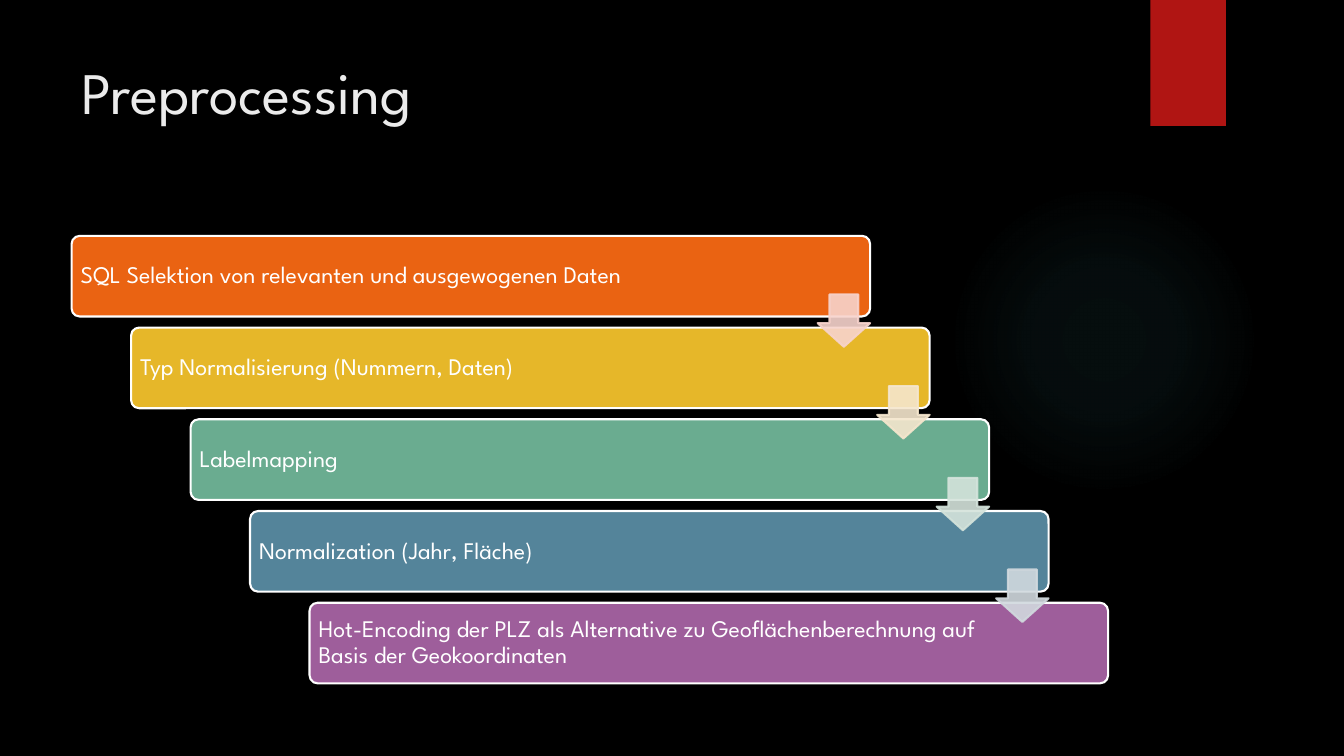
from lxml.etree import SubElement
from pptx import Presentation
from pptx.dml.color import RGBColor
from pptx.enum.shapes import MSO_SHAPE as Preset
from pptx.enum.text import MSO_ANCHOR as Anchor
from pptx.oxml.ns import qn
from pptx.util import Inches, Pt

FONT = "League Spartan"
BLACK = RGBColor(0x00, 0x00, 0x00)
WHITE = RGBColor(0xFF, 0xFF, 0xFF)
TITLE_GREY = RGBColor(0xEB, 0xEB, 0xEB)
RIBBON_RED = RGBColor(0xB0, 0x15, 0x13)
GLOW_TEAL = RGBColor(0x50, 0xB9, 0xC1)
ORANGE = RGBColor(0xEA, 0x63, 0x12)
YELLOW = RGBColor(0xE6, 0xB7, 0x29)
GREEN = RGBColor(0x6A, 0xAC, 0x90)
BLUE = RGBColor(0x54, 0x84, 0x9A)
PURPLE = RGBColor(0x9E, 0x5E, 0x9B)
PALE_ORANGE = RGBColor(0xF7, 0xD3, 0xCC)
PALE_YELLOW = RGBColor(0xF5, 0xE6, 0xCD)
PALE_GREEN = RGBColor(0xD4, 0xE3, 0xDB)
PALE_BLUE = RGBColor(0xD1, 0xD9, 0xDE)

# Staircase grid, in inches: each step moves one column right and one row down
LEFT, TOP = 0.71, 2.34
COLUMN, ROW = 0.59, 0.91
BAR_WIDTH, BAR_HEIGHT = 7.92, 0.8
LABEL_INSET, LABEL_WIDTH = 0.02, 6.76
ARROW_SIZE, ARROW_DROP = 0.52, 0.58

# Label, bar colour, colour of the arrow to the next step
STEPS = [
    ("SQL Selektion von relevanten und ausgewogenen Daten", ORANGE, PALE_ORANGE),
    ("Typ Normalisierung (Nummern, Daten)", YELLOW, PALE_YELLOW),
    ("Labelmapping", GREEN, PALE_GREEN),
    ("Normalization (Jahr, Fläche)", BLUE, PALE_BLUE),
    ("Hot-Encoding der PLZ als Alternative zu Geoflächenberechnung auf "
     "Basis der Geokoordinaten", PURPLE, None),
]


def set_alpha(colour_element, percent):
    SubElement(colour_element, qn("a:alpha"), val=str(percent * 1000))


def add_preset(slide, preset, box, fill, line=None, adjustments=()):
    shape = slide.shapes.add_shape(preset, *map(Inches, box))
    shape.shadow.inherit = False
    shape.fill.solid()
    shape.fill.fore_color.rgb = fill
    if line is None:
        shape.line.fill.background()
    else:
        shape.line.color.rgb = line
        shape.line.width = Pt(1.5)
    for index, value in enumerate(adjustments):
        shape.adjustments[index] = value
    return shape


def add_text(slide, text, box, size, colour, spacing=1.0, **frame_format):
    frame = slide.shapes.add_textbox(*map(Inches, box)).text_frame
    frame.word_wrap = True
    for name, value in frame_format.items():
        setattr(frame, name, value)
    paragraph = frame.paragraphs[0]
    paragraph.line_spacing = spacing
    run = paragraph.add_run()
    run.text = text
    run.font.name, run.font.size = FONT, Pt(size)
    run.font.color.rgb = colour


def add_glow(slide, box):
    """Add a circle whose colour fades out from its centre."""
    glow = add_preset(slide, Preset.OVAL, box, GLOW_TEAL)
    glow.fill.gradient()
    gradient = glow.fill._xPr.find(qn("a:gradFill"))
    for child in list(gradient):
        gradient.remove(child)
    stops = SubElement(gradient, qn("a:gsLst"))
    for position, alpha in ((0, 7), (36, 6), (69, 0)):
        stop = SubElement(stops, qn("a:gs"), pos=str(position * 1000))
        set_alpha(SubElement(stop, qn("a:srgbClr"), val=str(GLOW_TEAL)), alpha)
    radial = SubElement(gradient, qn("a:path"), {"path": "circle"})
    SubElement(radial, qn("a:fillToRect"),
               dict.fromkeys("ltrb", "50000"))


def add_step(slide, index, label, colour):
    left, top = LEFT + index * COLUMN, TOP + index * ROW
    add_preset(slide, Preset.ROUNDED_RECTANGLE,
               (left, top, BAR_WIDTH, BAR_HEIGHT), colour, WHITE, [0.1])
    margins = dict.fromkeys(
        ("margin_left", "margin_top", "margin_right", "margin_bottom"),
        Inches(0.07))
    label_box = (left + LABEL_INSET, top + LABEL_INSET,
                 LABEL_WIDTH, BAR_HEIGHT - 2 * LABEL_INSET)
    add_text(slide, label, label_box, 17, WHITE, 0.9,
             vertical_anchor=Anchor.MIDDLE, **margins)


def add_step_arrow(slide, index, colour):
    """Add the arrow at the right end of a bar, pointing to the next one."""
    left = LEFT + index * COLUMN + BAR_WIDTH - ARROW_SIZE
    top = TOP + index * ROW + ARROW_DROP
    arrow = add_preset(slide, Preset.DOWN_ARROW,
                       (left, top, ARROW_SIZE, ARROW_SIZE),
                       colour, colour, [0.55, 0.45])
    # The adjustments of a down arrow are its shaft width and head length
    for colour_element in arrow.fill._xPr.iter(qn("a:srgbClr")):
        set_alpha(colour_element, 90)


def main():
    deck = Presentation()
    deck.slide_width, deck.slide_height = Inches(13.33), Inches(7.5)
    slide = deck.slides.add_slide(deck.slide_layouts[6])
    slide.background.fill.solid()
    slide.background.fill.fore_color.rgb = BLACK

    add_glow(slide, (9.41, 1.83, 3.08, 3.08))
    add_preset(slide, Preset.RECTANGLE, (11.41, 0, 0.75, 1.25), RIBBON_RED)
    add_text(slide, "Preprocessing", (LEFT, 0.5, 10.29, 1.53), 42, TITLE_GREY)

    for index, (label, colour, _) in enumerate(STEPS):
        add_step(slide, index, label, colour)
    for index, (_, _, arrow_colour) in enumerate(STEPS[:-1]):
        add_step_arrow(slide, index, arrow_colour)

    deck.save("out.pptx")


if __name__ == "__main__":
    main()
